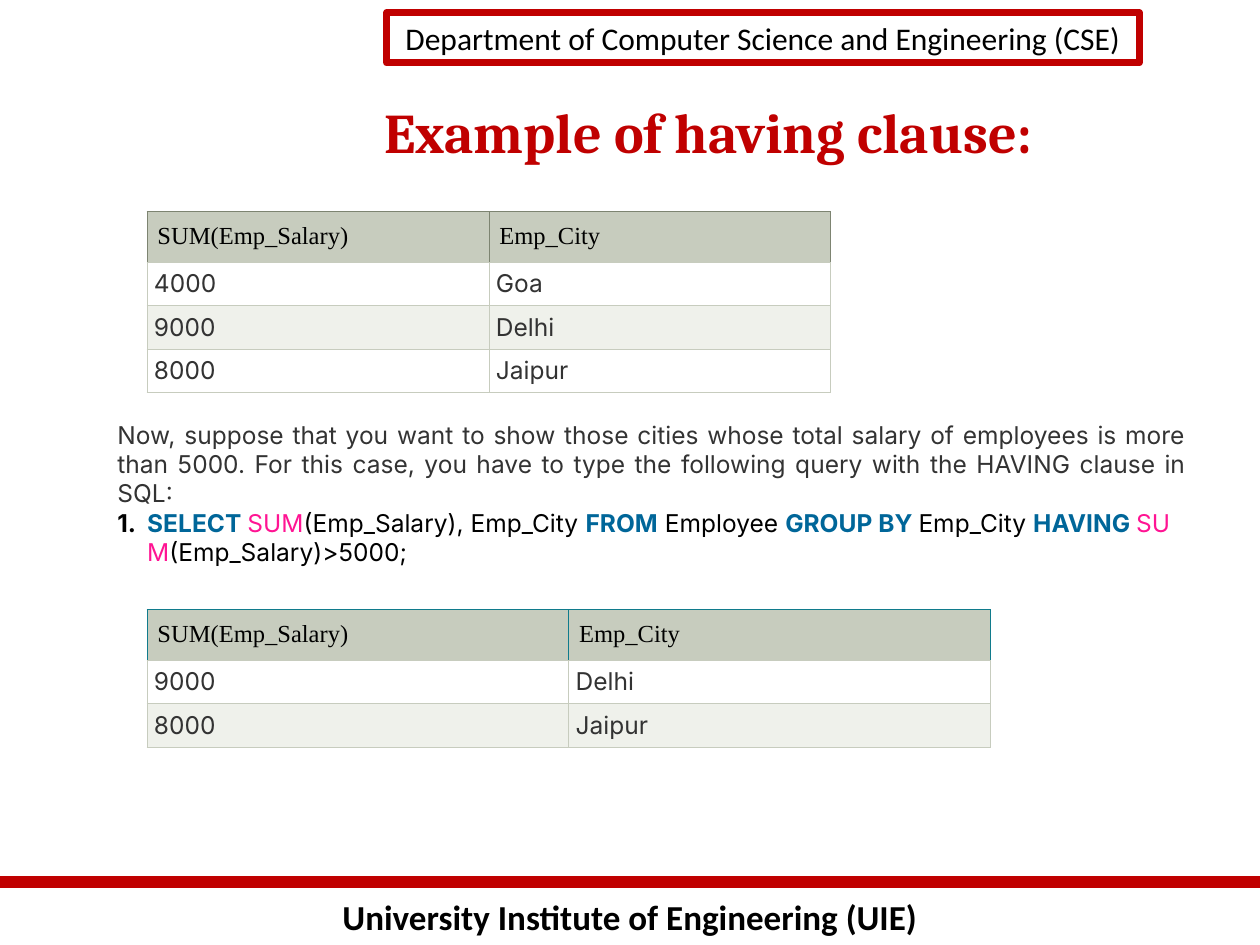
"""Build the slide that shows a HAVING clause example with two result tables."""
from lxml import etree
from pptx import Presentation
from pptx.dml.color import RGBColor
from pptx.enum import shapes, text
from pptx.oxml import ns
from pptx.util import Pt

RED = RGBColor(0xC0, 0x00, 0x00)
BLACK = RGBColor(0x00, 0x00, 0x00)
WHITE = RGBColor(0xFF, 0xFF, 0xFF)
DARK = RGBColor(0x33, 0x33, 0x33)
BLUE = RGBColor(0x00, 0x66, 0x99)
PINK = RGBColor(0xFF, 0x14, 0x93)
SAGE = RGBColor(0xC7, 0xCC, 0xBE)
PALE = RGBColor(0xEF, 0xF1, 0xEB)
GREY = RGBColor(0x7D, 0x84, 0x71)
TEAL = RGBColor(0x10, 0x7B, 0x8C)
ALIGN = text.PP_ALIGN


def style(para, name, size, color, bold=False, align=ALIGN.LEFT):
    para.alignment = align
    font = para.font
    font.name, font.size, font.bold = name, Pt(size), bold
    font.color.rgb = color


def add(node, tag, **attrs):
    return etree.SubElement(node, ns.qn(tag), attrs)


deck = Presentation()
deck.slide_width, deck.slide_height = Pt(720), Pt(540)
slide = deck.slides.add_slide(deck.slide_layouts[6])
items = slide.shapes

foot = items.add_textbox(Pt(0), Pt(508.3), Pt(720), Pt(31.7))
foot.text_frame.word_wrap = True
para = foot.text_frame.paragraphs[0]
para.text = "University Institute of Engineering (UIE)"
style(para, "Calibri", 20, BLACK, True, ALIGN.CENTER)

rule = items.add_connector(shapes.MSO_CONNECTOR.STRAIGHT, Pt(0), Pt(504), Pt(720), Pt(504))
rule.line.color.rgb = RED
rule.line.width = Pt(7)
add(rule.element.spPr, "a:effectLst")

dept = items.add_shape(shapes.MSO_SHAPE.RECTANGLE, Pt(221), Pt(7.2), Pt(430), Pt(28.8))
dept.shadow.inherit = False
dept.fill.background()
dept.line.color.rgb = RED
dept.line.width = Pt(4)
dept.text_frame.word_wrap = True
para = dept.text_frame.paragraphs[0]
para.text = "Department of Computer Science and Engineering (CSE)"
style(para, "Calibri", 18, BLACK, align=ALIGN.CENTER)

title = items.add_textbox(Pt(84), Pt(48), Pt(624), Pt(54))
title.fill.solid()
title.fill.fore_color.rgb = WHITE
frame = title.text_frame
frame.word_wrap = True
frame.vertical_anchor = text.MSO_ANCHOR.MIDDLE
para = frame.paragraphs[0]
para.text = "Example of having clause:"
para.space_before = Pt(6.4)
style(para, "Cambria", 32, RED, True, ALIGN.CENTER)
props = para._p.get_or_add_pPr()
props.set("marL", str(Pt(36)))
props.set("indent", str(-Pt(18)))

HEAD = ("SUM(Emp_Salary)", "Emp_City")
TABLES = [
    (121, 195.4, GREY, [HEAD, ("4000", "Goa"), ("9000", "Delhi"), ("8000", "Jaipur")]),
    (348.5, 241, TEAL, [HEAD, ("9000", "Delhi"), ("8000", "Jaipur")]),
]
for top, wide, edge, rows in TABLES:
    high = 28.4 + 24.9 * (len(rows) - 1)
    table = items.add_table(len(rows), 2, Pt(84), Pt(top), Pt(2 * wide), Pt(high)).table
    table.first_row = table.horz_banding = False
    for r, row in enumerate(rows):
        first = r == 0
        table.rows[r].height = Pt(28.4 if first else 24.9)
        for c, value in enumerate(row):
            cell = table.cell(r, c)
            pad = Pt(6 if first else 4)
            cell.margin_left = cell.margin_right = pad
            cell.margin_top = cell.margin_bottom = pad
            cell.text = value
            para = cell.text_frame.paragraphs[0]
            if first:
                style(para, "Times New Roman", 14, BLACK)
            else:
                style(para, "Inter", 14, DARK, align=ALIGN.JUSTIFY)
            props = cell._tc.get_or_add_tcPr()
            for side in ("L", "R", "T", "B"):
                color = edge if first and side != "B" else SAGE
                line = add(props, "a:ln" + side, w=str(Pt(0.5)))
                add(add(line, "a:solidFill"), "a:srgbClr", val=str(color))
            cell.fill.solid()
            cell.fill.fore_color.rgb = SAGE if first else WHITE if r % 2 else PALE

QUERY = [
    ("SELECT ", BLUE), ("SUM", PINK), ("(Emp_Salary), Emp_City ", BLACK),
    ("FROM", BLUE), (" Employee ", BLACK), ("GROUP BY ", BLUE),
    ("Emp_City ", BLACK), ("HAVING ", BLUE), ("SUM", PINK),
    ("(Emp_Salary)>5000; ", BLACK),
]
body = items.add_textbox(Pt(60), Pt(236.2), Pt(625), Pt(75))
frame = body.text_frame
frame.word_wrap = True
para = frame.paragraphs[0]
para.text = (
    "Now, suppose that you want to show those cities whose total salary of employees "
    "is more than 5000. For this case, you have to type the following query with the "
    "HAVING clause in SQL:"
)
style(para, "Inter", 14, DARK, align=ALIGN.JUSTIFY)

para = frame.add_paragraph()
style(para, "Inter", 14, BLACK, align=ALIGN.JUSTIFY)
props = para._p.get_or_add_pPr()
props.set("marL", str(Pt(17)))
props.set("indent", str(-Pt(17)))
mark = etree.Element(ns.qn("a:buClr"))
add(mark, "a:srgbClr", val=str(BLACK))
props.insert(0, mark)
mark.addnext(etree.Element(ns.qn("a:buAutoNum"), type="arabicPeriod"))
for words, color in QUERY:
    run = para.add_run()
    run.text = words.replace(" ", chr(160))
    run.font.name, run.font.size = "Inter", Pt(14)
    run.font.bold = color == BLUE
    run.font.color.rgb = color

deck.save("out.pptx")
